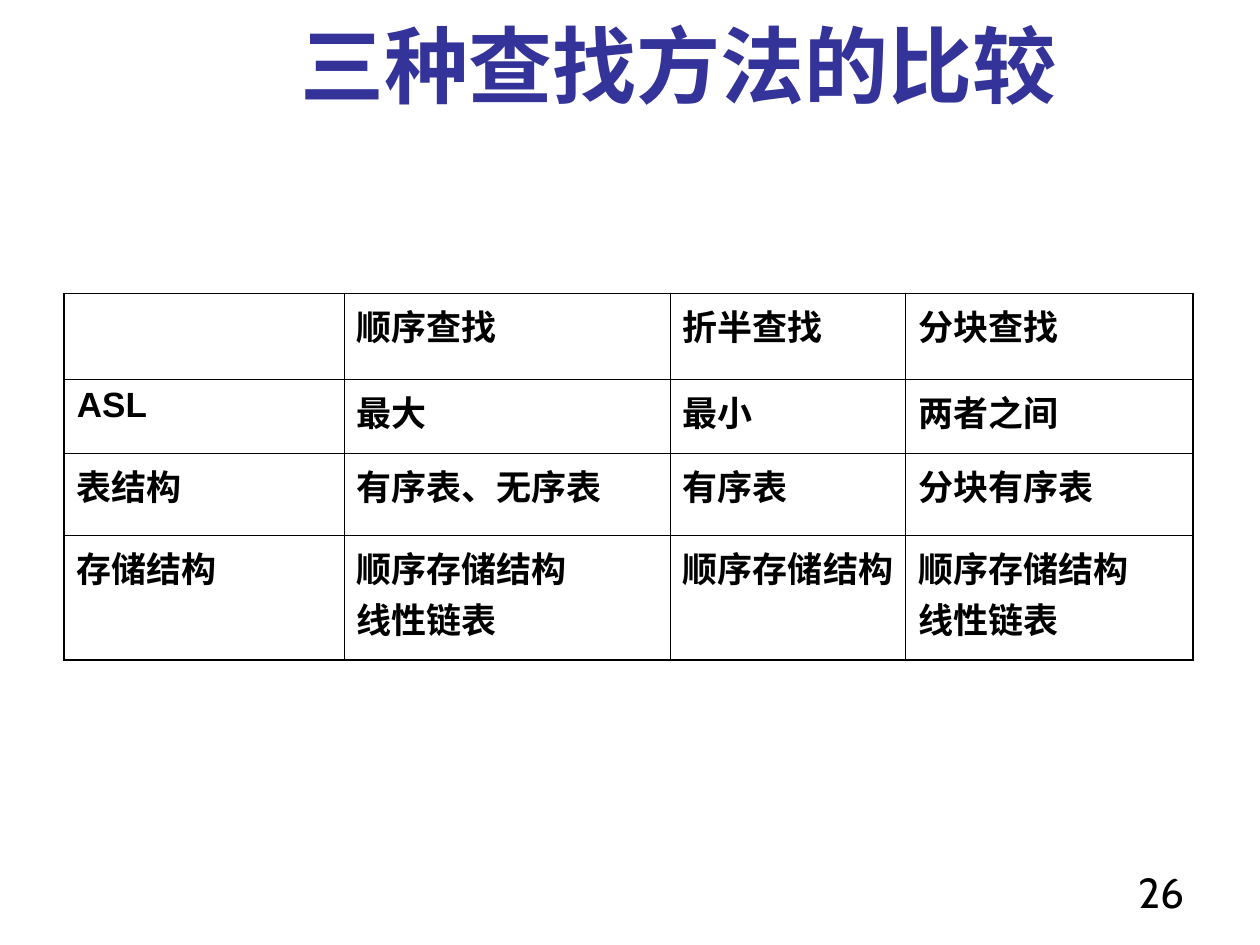
"""Build a slide comparing three search methods in a bordered table."""
from dataclasses import dataclass

from lxml import etree
from pptx import Presentation
from pptx.dml.color import RGBColor
from pptx.enum.text import MSO_ANCHOR, MSO_AUTO_SIZE, PP_ALIGN
from pptx.oxml.ns import qn
from pptx.util import Inches, Pt

BLACK = RGBColor(0x00, 0x00, 0x00)
INDIGO = RGBColor(0x33, 0x33, 0x99)
CJK_FONT = "Noto Sans CJK SC"
CENTER, RIGHT = PP_ALIGN.CENTER, PP_ALIGN.RIGHT
BOTTOM = MSO_ANCHOR.BOTTOM
NO_AUTOFIT = MSO_AUTO_SIZE.NONE
TITLE_ONLY = 5
THIN, THICK = Pt(0.45), Pt(1.08)
COL_WIDTHS = (2.22, 2.59, 1.87, 2.28)


@dataclass(frozen=True)
class Row:
    height: float
    cells: tuple[str, ...]


ROWS = (
    Row(0.68, ("", "顺序查找", "折半查找", "分块查找")),
    Row(0.59, ("ASL", "最大", "最小", "两者之间")),
    Row(0.65, ("表结构", "有序表、无序表", "有序表", "分块有序表")),
    Row(0.99, ("存储结构", "顺序存储结构\n线性链表", "顺序存储结构", "顺序存储结构\n线性链表")),
)


def style_text(tf, name: str, size: float, color: RGBColor, bold: bool, align=None) -> None:
    for p in tf.paragraphs:
        p.alignment = align
        p.font.name = name
        p.font.size = Pt(size)
        p.font.bold = bold
        p.font.color.rgb = color
        props = p._p.pPr.find(qn("a:defRPr"))
        etree.SubElement(props, qn("a:ea")).set("typeface", CJK_FONT)


def set_borders(cell, widths: dict[str, int]) -> None:
    props = cell._tc.get_or_add_tcPr()
    for i, (side, width) in enumerate(widths.items()):
        line = etree.Element(qn(f"a:ln{side}"), w=str(int(width)))
        fill = etree.SubElement(line, qn("a:solidFill"))
        etree.SubElement(fill, qn("a:srgbClr")).set("val", str(BLACK))
        props.insert(i, line)


def add_title(s, text: str) -> None:
    sp = s.shapes.title
    sp.left, sp.top, sp.width, sp.height = map(Inches, (1.08, 0.21, 8.61, 0.75))
    tf = sp.text_frame
    tf.text = text
    tf.auto_size = NO_AUTOFIT
    tf.vertical_anchor = BOTTOM
    style_text(tf, CJK_FONT, 48, INDIGO, True, CENTER)


def add_comparison(s, rows: tuple[Row, ...]) -> None:
    height = sum(row.height for row in rows)
    frame = s.shapes.add_table(len(rows), len(COL_WIDTHS), Inches(0.51), Inches(2.33),
                               Inches(sum(COL_WIDTHS)), Inches(height))
    table = frame.table
    table.first_row = table.horz_banding = False
    for col, width in zip(table.columns, COL_WIDTHS):
        col.width = Inches(width)
    last_row, last_col = len(rows) - 1, len(COL_WIDTHS) - 1
    for r, row in enumerate(rows):
        table.rows[r].height = Inches(row.height)
        for c, text in enumerate(row.cells):
            cell = table.cell(r, c)
            cell.text = text
            cell.fill.background()
            style_text(cell.text_frame, "Arial", 20, BLACK, True)
            set_borders(cell, {
                "L": THICK if c == 0 else THIN,
                "R": THICK if c == last_col else THIN,
                "T": THICK if r == 0 and c > 0 else THIN,
                "B": THICK if r == last_row else THIN,
            })


def add_page_number(s, number: str) -> None:
    sp = s.shapes.add_textbox(Inches(7.17), Inches(6.83), Inches(2.33), Inches(0.5))
    tf = sp.text_frame
    tf.word_wrap = True
    tf.text = number
    style_text(tf, "Cabin", 24, BLACK, False, RIGHT)


def main() -> None:
    prs = Presentation()
    prs.slide_width, prs.slide_height = Inches(10), Inches(7.5)
    s = prs.slides.add_slide(prs.slide_layouts[TITLE_ONLY])
    add_page_number(s, "26")
    add_comparison(s, ROWS)
    add_title(s, "三种查找方法的比较")
    prs.save("out.pptx")


if __name__ == "__main__":
    main()
